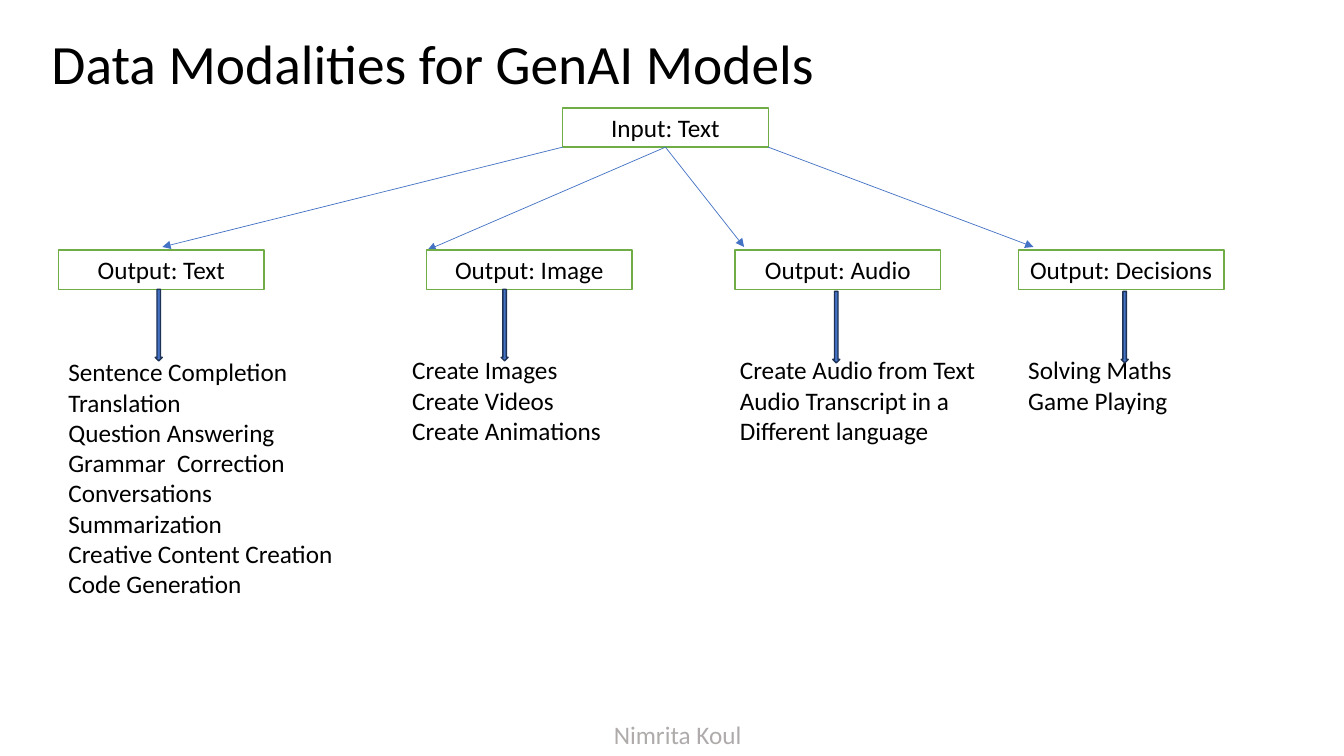
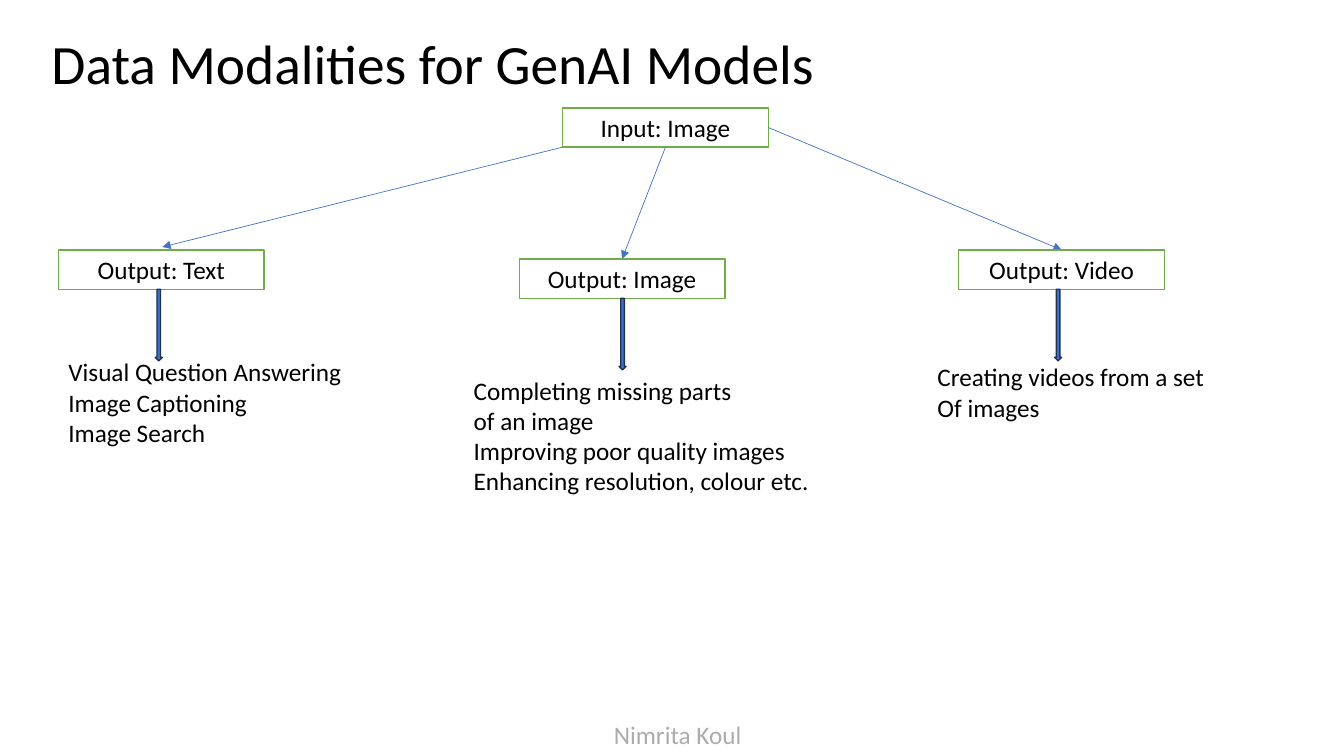
from lxml import etree
from pptx import Presentation
from pptx import util as u
from pptx.dml.color import RGBColor
from pptx.enum import shapes, text
from pptx.oxml import ns

FONT = "Calibri"
COLORS = {"text": "000000", "footer": "AFABAB", "box": "FFFFFF", "border": "70AD47",
          "accent": "4472C4", "arrow_edge": "1E3256"}
BOX_W, BOX_H = 2.04, 0.39
INPUT_X, INPUT_Y = 5.58, 1.07
INPUT_BOTTOM = INPUT_Y + BOX_H
LEFT_CORNER = (INPUT_X, INPUT_BOTTOM)
BOTTOM_CENTER = (INPUT_X + BOX_W / 2, INPUT_BOTTOM)
RIGHT_CORNER = (INPUT_X + BOX_W, INPUT_BOTTOM)
RIGHT_MIDDLE = (INPUT_X + BOX_W, INPUT_Y + BOX_H / 2)
ARROW_W, ARROW_H = 0.07, 0.71
LINE_H, INSET = 0.3, 0.05

TEXT_BRANCHES = [
    {"label": "Output: Text", "box": (0.58, 2.48), "link": (LEFT_CORNER, (1.61, 2.45)),
     "arrow": (1.54, 2.87), "list": (0.58, 3.49, 2.86),
     "items": ["Sentence Completion", "Translation", "Question Answering",
               "Grammar  Correction", "Conversations", "Summarization",
               "Creative Content Creation", "Code Generation"]},
    {"label": "Output: Image", "box": (4.23, 2.48), "link": (BOTTOM_CENTER, (4.24, 2.48)),
     "arrow": (4.97, 2.87), "list": (3.99, 3.47, 2.1),
     "items": ["Create Images", "Create Videos", "Create Animations"]},
    {"label": "Output: Audio", "box": (7.29, 2.48), "link": (BOTTOM_CENTER, (7.38, 2.45)),
     "arrow": (8.26, 2.89), "list": (7.24, 3.47, 2.56),
     "items": ["Create Audio from Text", "Audio Transcript in a", "Different language"]},
    {"label": "Output: Decisions", "box": (10.1, 2.48), "link": (RIGHT_CORNER, (10.25, 2.45)),
     "arrow": (11.12, 2.89), "list": (10.1, 3.47, 1.7),
     "items": ["Solving Maths", "Game Playing"]},
]
IMAGE_BRANCHES = [
    {"label": "Output: Text", "box": (0.58, 2.48), "link": (LEFT_CORNER, (1.61, 2.45)),
     "arrow": (1.54, 2.87), "list": (0.58, 3.49, 2.94),
     "items": ["Visual Question Answering", "Image Captioning", "Image Search"]},
    {"label": "Output: Image", "box": (5.15, 2.57), "link": (BOTTOM_CENTER, (6.17, 2.57)),
     "arrow": (6.14, 2.96), "list": (4.6, 3.67, 3.57),
     "items": ["Completing missing parts", "of an image", "Improving poor quality images",
               "Enhancing resolution, colour etc."]},
    {"label": "Output: Video", "box": (9.51, 2.48), "link": (RIGHT_MIDDLE, (10.53, 2.48)),
     "arrow": (10.46, 2.87), "list": (9.2, 3.54, 2.94),
     "items": ["Creating videos from a set", "Of images"]},
]


def rgb(name):
    return RGBColor.from_string(COLORS[name])


def inches(*values):
    return [u.Inches(v) for v in values]


def add_run(p, content, size=18, color="text"):
    r = p.add_run()
    r.text = content
    r.font.name = FONT
    r.font.size = u.Pt(size)
    r.font.color.rgb = rgb(color)


def add_title(slide, content):
    sp = slide.shapes.title
    sp.left, sp.top, sp.width, sp.height = inches(0.38, 0.24, 12.42, 0.84)
    tf = sp.text_frame
    tf.margin_left = tf.margin_right = tf.margin_top = tf.margin_bottom = u.Inches(0.13)
    tf.auto_size = text.MSO_AUTO_SIZE.NONE
    tf.vertical_anchor = text.MSO_ANCHOR.MIDDLE
    p = tf.paragraphs[0]
    p.alignment = text.PP_ALIGN.LEFT
    p.line_spacing = 0.9
    add_run(p, content, 39.6)


def add_text(slide, x, y, w, lines, color="text", wrap=False):
    sp = slide.shapes.add_textbox(*inches(x, y, w, LINE_H * len(lines) + 2 * INSET))
    tf = sp.text_frame
    tf.word_wrap = wrap
    tf.auto_size = text.MSO_AUTO_SIZE.SHAPE_TO_FIT_TEXT
    for i, line in enumerate(lines):
        p = tf.add_paragraph() if i else tf.paragraphs[0]
        add_run(p, line, color=color)
    return sp


def add_shape(slide, kind, x, y, w, h, fill, line):
    sp = slide.shapes.add_shape(kind, *inches(x, y, w, h))
    sp.shadow.inherit = False
    sp.fill.solid()
    sp.fill.fore_color.rgb = rgb(fill)
    sp.line.color.rgb = rgb(line)
    sp.line.width = u.Pt(1)
    return sp


def add_box(slide, x, y, label):
    sp = add_shape(slide, shapes.MSO_SHAPE.RECTANGLE, x, y, BOX_W, BOX_H, "box", "border")
    tf = sp.text_frame
    tf.vertical_anchor = text.MSO_ANCHOR.MIDDLE
    p = tf.paragraphs[0]
    p.alignment = text.PP_ALIGN.CENTER
    add_run(p, label)


def add_link(slide, start, end):
    cxn = slide.shapes.add_connector(shapes.MSO_CONNECTOR.STRAIGHT, *inches(*start, *end))
    cxn.line.color.rgb = rgb("accent")
    cxn.line.width = u.Pt(0.5)
    ln = cxn.line._get_or_add_ln()
    etree.SubElement(ln, ns.qn("a:tailEnd"), type="triangle")
    etree.SubElement(cxn.element.spPr, ns.qn("a:effectLst"))


def add_branch(slide, branch):
    add_link(slide, *branch["link"])
    add_box(slide, *branch["box"], branch["label"])
    add_text(slide, *branch["list"], branch["items"])
    add_shape(slide, shapes.MSO_SHAPE.DOWN_ARROW, *branch["arrow"], ARROW_W, ARROW_H,
              "accent", "arrow_edge")


def add_modality_slide(prs, layout, source, branches):
    slide = prs.slides.add_slide(layout)
    add_title(slide, "Data Modalities for GenAI Models")
    add_box(slide, INPUT_X, INPUT_Y, source)
    for branch in branches:
        add_branch(slide, branch)
    return slide


def add_layout_footer(layout, slide):
    sp = add_text(slide, 5.99, 7.09, 2.13, ["Nimrita Koul"], "footer", wrap=True)
    layout.shapes.element.append(sp.element)


def main():
    prs = Presentation()
    prs.slide_width, prs.slide_height = inches(13.33, 7.5)
    layout = prs.slide_layouts.get_by_name("Title Only")
    first = add_modality_slide(prs, layout, "Input: Text", TEXT_BRANCHES)
    add_modality_slide(prs, layout, "Input: Image", IMAGE_BRANCHES)
    add_layout_footer(layout, first)
    prs.save("out.pptx")


if __name__ == "__main__":
    main()
